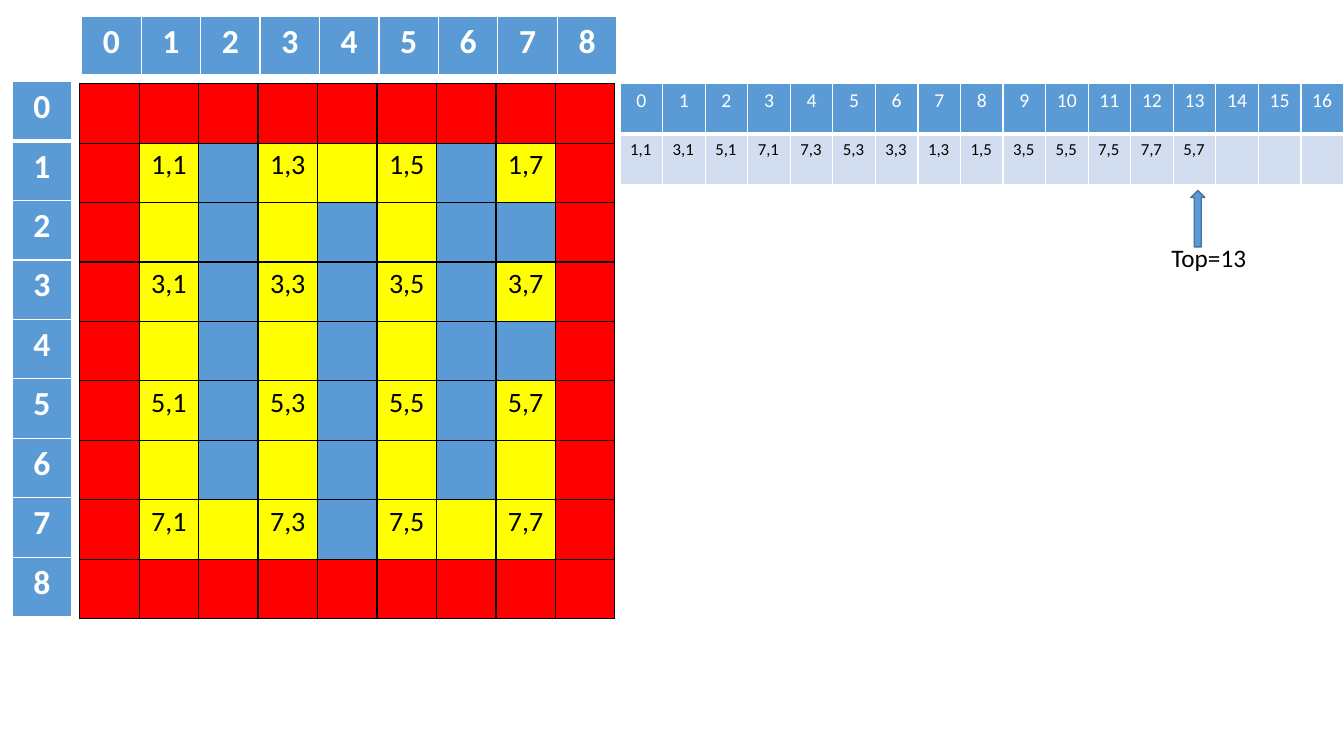
from lxml.etree import SubElement
from pptx import Presentation
from pptx.dml.color import RGBColor
from pptx.enum.shapes import MSO_SHAPE
from pptx.enum.text import MSO_AUTO_SIZE, PP_ALIGN
from pptx.oxml.ns import qn
from pptx.util import Inches, Pt

RED = RGBColor(0xFF, 0x00, 0x00)
YELLOW = RGBColor(0xFF, 0xFF, 0x00)
BLUE = RGBColor(0x5B, 0x9B, 0xD5)
PALE = RGBColor(0xD2, 0xDE, 0xEF)
EDGE = RGBColor(0x43, 0x73, 0x9E)
BLACK = RGBColor(0x00, 0x00, 0x00)
WHITE = RGBColor(0xFF, 0xFF, 0xFF)
FONT = "Calibri"
SIZE = 9
SIDE = 5.31
UNIT = SIDE / SIZE

MAZE = [
    "RRRRRRRRR",
    "RYBYYYBYR",
    "RYBYBYBBR",
    "RYBYBYBYR",
    "RYBYBYBBR",
    "RYBYBYBYR",
    "RYBYBYBYR",
    "RYYYBYYYR",
    "RRRRRRRRR",
]
FILLS = {"R": RED, "Y": YELLOW, "B": BLUE}
STACK = ["1,1", "3,1", "5,1", "7,1", "7,3", "5,3", "3,3", "1,3", "1,5",
         "3,5", "5,5", "7,5", "7,7", "5,7"]
SLOTS = 17

deck = Presentation()
deck.slide_width, deck.slide_height = Inches(13.33), Inches(7.5)
slide = deck.slides.add_slide(deck.slide_layouts[6])


def add_grid(rows, cols, left, top, width, height):
    grid = slide.shapes.add_table(rows, cols, Inches(left), Inches(top),
                                  Inches(width), Inches(height)).table
    grid.first_row = grid.horz_banding = False
    for col in grid.columns:
        col.width = Inches(width / cols)
    for row in grid.rows:
        row.height = Inches(height / rows)
    return grid


def set_cell(cell, text, fill, size, color, border, align=PP_ALIGN.CENTER,
             bold=False, top=1, bottom=1):
    """Write, fill and frame a cell; top and bottom are line widths in points."""
    para = cell.text_frame.paragraphs[0]
    para.alignment = align
    if text:
        run = para.add_run()
        run.text = text
        run.font.name, run.font.size, run.font.bold = FONT, Pt(size), bold
        run.font.color.rgb = color
    props = cell._tc.get_or_add_tcPr()
    for side, width in ("lnL", 1), ("lnR", 1), ("lnT", top), ("lnB", bottom):
        line = SubElement(props, qn("a:" + side), w=str(Pt(width)))
        solid = SubElement(line, qn("a:solidFill"))
        SubElement(solid, qn("a:srgbClr"), val=str(border))
    cell.fill.solid()
    cell.fill.fore_color.rgb = fill


# Maze, labelled where both indexes are odd
maze = add_grid(SIZE, SIZE, 0.79, 0.83, SIDE, SIDE)
for r, codes in enumerate(MAZE):
    for c, code in enumerate(codes):
        label = f"{r},{c}" if r % 2 and c % 2 else ""
        set_cell(maze.cell(r, c), label, FILLS[code], 20, BLACK, BLACK)

# Column and row indexes
across = add_grid(1, SIZE, 0.81, 0.16, SIDE, UNIT)
down = add_grid(SIZE, 1, 0.12, 0.81, UNIT, SIDE)
for i in range(SIZE):
    set_cell(across.cell(0, i), str(i), BLUE, 24, WHITE, WHITE, bold=True, bottom=3)
    set_cell(down.cell(i, 0), str(i), BLUE, 24, WHITE, WHITE, bold=True,
             top=3 if i == 1 else 1, bottom=3 if i == 0 else 1)

# Stack of visited cells
stack = add_grid(2, SLOTS, 6.15, 0.83, 7.18, 1)
for i in range(SLOTS):
    item = STACK[i] if i < len(STACK) else ""
    set_cell(stack.cell(0, i), str(i), BLUE, 14, WHITE, WHITE, bottom=3)
    set_cell(stack.cell(1, i), item, PALE, 12, BLACK, WHITE,
             align=PP_ALIGN.LEFT, top=3)

# Pointer to the top of the stack
arrow = slide.shapes.add_shape(MSO_SHAPE.UP_ARROW, Inches(11.81), Inches(1.89),
                               Inches(0.14), Inches(0.56))
arrow.shadow.inherit = False
arrow.fill.solid()
arrow.fill.fore_color.rgb = BLUE
arrow.line.color.rgb = EDGE
arrow.line.width = Pt(1)

note = slide.shapes.add_textbox(Inches(11.52), Inches(2.36), Inches(0.95), Inches(0.4))
note.text_frame.word_wrap = False
note.text_frame.auto_size = MSO_AUTO_SIZE.SHAPE_TO_FIT_TEXT
run = note.text_frame.paragraphs[0].add_run()
run.text = f"Top={len(STACK) - 1}"
run.font.name, run.font.size = FONT, Pt(18)
run.font.color.rgb = BLACK

deck.save("out.pptx")
